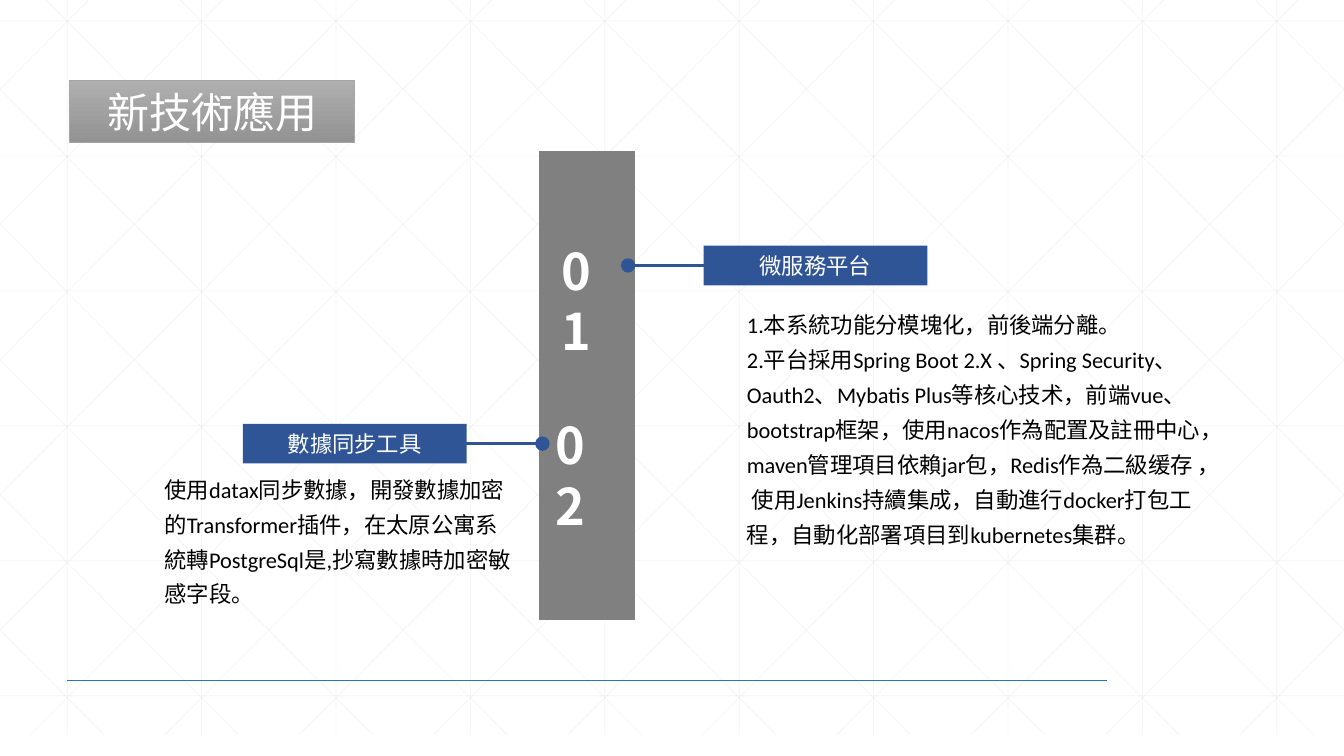
import pptx
import pptx.dml.color
import pptx.enum.shapes
import pptx.enum.text
import pptx.oxml.ns
import pptx.util
from lxml import etree

Cm = pptx.util.Cm
Pt = pptx.util.Pt
RGBColor = pptx.dml.color.RGBColor
MSO_SHAPE = pptx.enum.shapes.MSO_SHAPE
MSO_ANCHOR = pptx.enum.text.MSO_ANCHOR
PP_ALIGN = pptx.enum.text.PP_ALIGN
qn = pptx.oxml.ns.qn

WHITE = RGBColor(0xFF, 0xFF, 0xFF)
BLACK = RGBColor(0x00, 0x00, 0x00)
GRID_GRAY = RGBColor(0xD9, 0xD9, 0xD9)
BAR_GRAY = RGBColor(0x80, 0x80, 0x80)
TITLE_TOP = RGBColor(0xAF, 0xAF, 0xAF)
TITLE_BOTTOM = RGBColor(0x93, 0x93, 0x93)
TITLE_EDGE = RGBColor(0xA5, 0xA5, 0xA5)
NAVY = RGBColor(0x2F, 0x55, 0x97)
RULE_BLUE = RGBColor(0x2E, 0x75, 0xB6)

LATIN_FONT = "Calibri"
CHINESE_FONT = "Noto Sans CJK SC"
NUMBER_FONT = "Noto Sans CJK JP"

WIDTH, HEIGHT = 33.87, 19.05
GRID_TOP, GRID_BOTTOM = -0.53, 18.52
DOT_SIZE = 0.31

TITLE_FORMAT = {"size": Pt(30), "name": CHINESE_FONT, "bold": False}
BODY_FORMAT = {"size": Pt(16), "name": LATIN_FONT, "bold": False}
LABEL_FORMAT = {"size": Pt(16), "name": CHINESE_FONT, "bold": False}
NUMBER_FORMAT = {"size": Pt(36), "name": NUMBER_FONT, "bold": True}
BODY_PARAGRAPH = {"line_spacing": 1.3, "space_before": Pt(0), "alignment": PP_ALIGN.LEFT}
CENTERED = {"alignment": PP_ALIGN.CENTER}
NUMBER_PARAGRAPH = {"line_spacing": Pt(43), "alignment": PP_ALIGN.LEFT}


def set_values(target, values):
    for name, value in values.items():
        setattr(target, name, value)


class SlideBuilder:
    def __init__(self, presentation):
        self.slide = presentation.slides.add_slide(presentation.slide_layouts[3])
        self.shapes = self.slide.shapes
        self.bodies = [holder for holder in self.slide.placeholders
                       if holder.placeholder_format.idx in (1, 2)]

    def set_text(self, shape, paragraphs, paragraph_format, font_format, color,
                 anchor=MSO_ANCHOR.TOP, plain=False):
        frame = shape.text_frame
        set_values(frame, {"word_wrap": True, "vertical_anchor": anchor,
                           "auto_size": pptx.enum.text.MSO_AUTO_SIZE.NONE})
        for index, text in enumerate(paragraphs):
            paragraph = frame.add_paragraph() if index else frame.paragraphs[0]
            set_values(paragraph, paragraph_format)
            if plain:
                properties = paragraph._p.get_or_add_pPr()
                properties.set("marL", "0")
                properties.set("indent", "0")
                etree.SubElement(properties, qn("a:buNone"))
            run = paragraph.add_run()
            run.text = text
            run.font.color.rgb = color
            set_values(run.font, font_format)
            east_asian = etree.Element(qn("a:ea"), typeface=CHINESE_FONT)
            run._r.rPr.find(qn("a:latin")).addnext(east_asian)

    def place(self, placeholder, left, top, width, height):
        set_values(placeholder, {"left": Cm(left), "top": Cm(top),
                                 "width": Cm(width), "height": Cm(height)})
        self.shapes._spTree.append(placeholder._element)

    def title(self, text, *box):
        title = self.shapes.title
        self.place(title, *box)
        title.fill.gradient()
        title.fill.gradient_angle = 270
        for stop, color in zip(title.fill.gradient_stops, (TITLE_TOP, TITLE_BOTTOM)):
            stop.color.rgb = color
        title.line.color.rgb = TITLE_EDGE
        title.line.width = Pt(0.5)
        self.set_text(title, [text], CENTERED, TITLE_FORMAT, WHITE, MSO_ANCHOR.MIDDLE)

    def body(self, paragraphs, *box):
        body = self.bodies.pop(0)
        self.place(body, *box)
        self.set_text(body, paragraphs, BODY_PARAGRAPH, BODY_FORMAT, BLACK, plain=True)

    def line(self, x1, y1, x2, y2, color, width, opacity=None):
        connector = self.shapes.add_connector(
            pptx.enum.shapes.MSO_CONNECTOR.STRAIGHT, Cm(x1), Cm(y1), Cm(x2), Cm(y2))
        connector.line.color.rgb = color
        connector.line.width = Pt(width)
        etree.SubElement(connector._element.spPr, qn("a:effectLst"))
        if opacity:
            tint = connector._element.spPr.find(".//" + qn("a:srgbClr"))
            etree.SubElement(tint, qn("a:alpha"), val=str(opacity * 1000))

    def block(self, kind, left, top, width, height, color, outline=None):
        shape = self.shapes.add_shape(kind, Cm(left), Cm(top), Cm(width), Cm(height))
        shape.shadow.inherit = False
        shape.fill.solid()
        shape.fill.fore_color.rgb = color
        if outline:
            shape.line.color.rgb = color
            shape.line.width = Pt(outline)
        else:
            shape.line.fill.background()
        return shape

    def number(self, text, left, top, width):
        box = self.shapes.add_textbox(Cm(left), Cm(top), Cm(width), Cm(3.3))
        self.set_text(box, [text], NUMBER_PARAGRAPH, NUMBER_FORMAT, WHITE)

    def label(self, text, left, center, line_start, dot_center):
        self.line(line_start, center, dot_center, center, NAVY, 2.25)
        self.block(MSO_SHAPE.OVAL, dot_center - DOT_SIZE / 2, center - DOT_SIZE / 2,
                   DOT_SIZE, DOT_SIZE, NAVY, 1.5)
        box = self.block(MSO_SHAPE.RECTANGLE, left, center - 0.5, 5.64, 1, NAVY)
        self.set_text(box, [text], CENTERED, LABEL_FORMAT, WHITE, MSO_ANCHOR.MIDDLE)

    def grid(self):
        pitch = WIDTH / 10
        segments = [(pitch * (i + 0.5), GRID_TOP, pitch * (i + 0.5), GRID_BOTTOM)
                    for i in range(10)]
        segments += [(0, 0.53 + 3.4 * i, WIDTH, 0.53 + 3.4 * i) for i in range(6)]
        span = 18.93
        slope = (GRID_BOTTOM - GRID_TOP) / span
        for i in range(-5, 10):
            start = 0.63 + pitch * i
            left, right = max(start, 0), min(start + span, WIDTH)
            top = GRID_TOP + (left - start) * slope
            bottom = GRID_TOP + (right - start) * slope
            segments.append((left, top, right, bottom))
            segments.append((WIDTH - left, top, WIDTH - right, bottom))
        for segment in segments:
            self.line(*segment, GRID_GRAY, 0.5, 25)


def main():
    presentation = pptx.Presentation()
    presentation.slide_width = Cm(WIDTH)
    presentation.slide_height = Cm(HEIGHT)
    builder = SlideBuilder(presentation)
    builder.grid()
    builder.line(1.7, 17.15, 27.89, 17.15, RULE_BLUE, 1)
    builder.title("新技術應用", 1.75, 2.03, 7.19, 1.55)
    builder.block(MSO_SHAPE.RECTANGLE, 13.59, 3.81, 2.41, 11.81, BAR_GRAY)

    builder.number("01", 13.89, 5.94, 1.7)
    builder.label("微服務平台", 17.73, 6.69, 18.29, 15.83)
    builder.body([
        "1.本系統功能分模塊化，前後端分離。",
        "2.平台採用Spring Boot 2.X 、Spring Security、Oauth2、Mybatis Plus等核心技术，"
        "前端vue、bootstrap框架，使用nacos作為配置及註冊中心，maven管理項目依賴jar包，"
        "Redis作為二級缓存 ， 使用Jenkins持續集成，自動進行docker打包工程，"
        "自動化部署項目到kubernetes集群。",
    ], 18.57, 7.52, 12.04, 7.37)

    builder.number("02", 13.74, 10.33, 1.8)
    builder.label("數據同步工具", 6.12, 11.18, 11.2, 13.67)
    builder.body([
        "使用datax同步數據，開發數據加密的Transformer插件，在太原公寓系統轉PostgreSql是,"
        "抄寫數據時加密敏感字段。",
    ], 3.89, 11.66, 9.4, 3.81)
    presentation.save("out.pptx")


if __name__ == "__main__":
    main()
